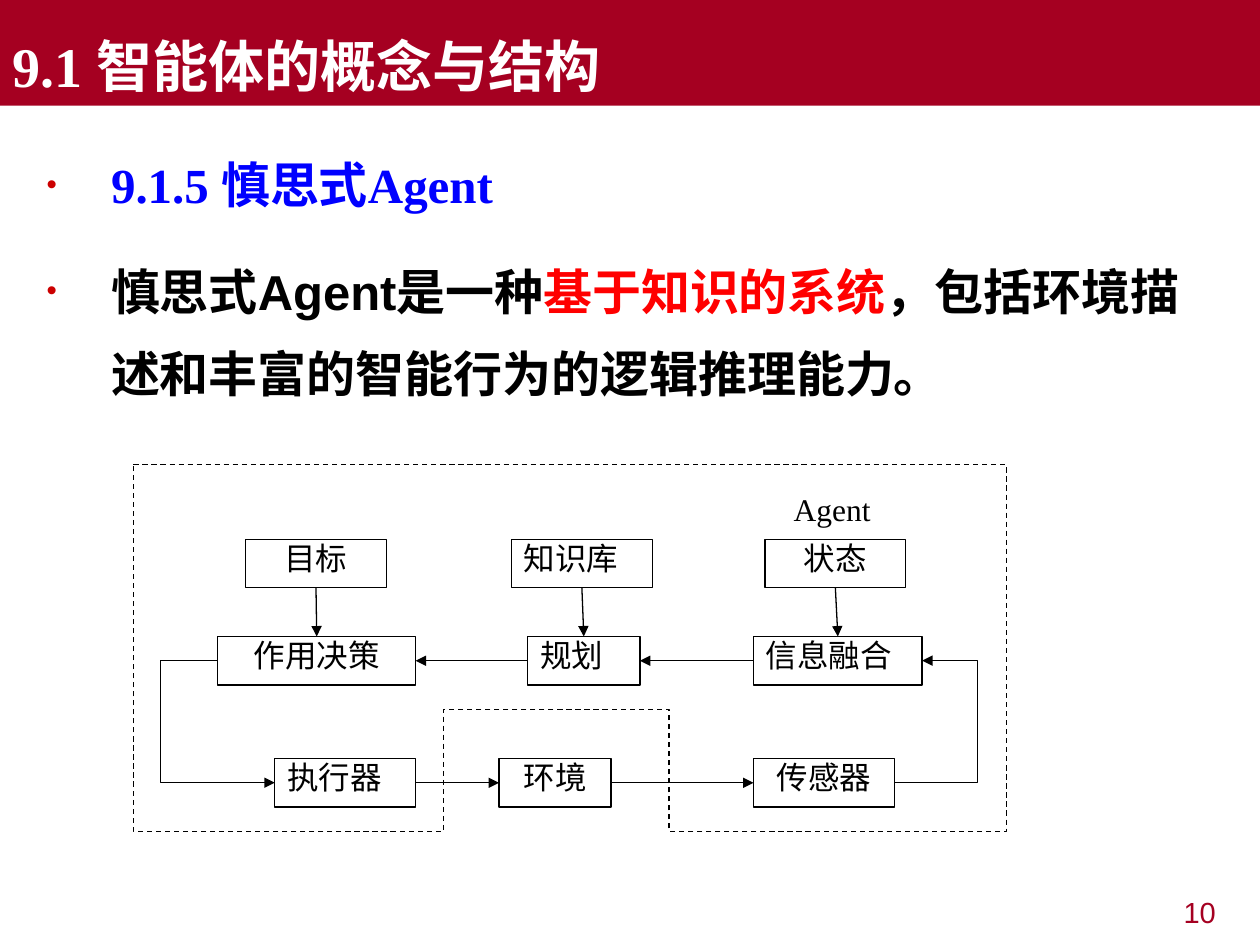
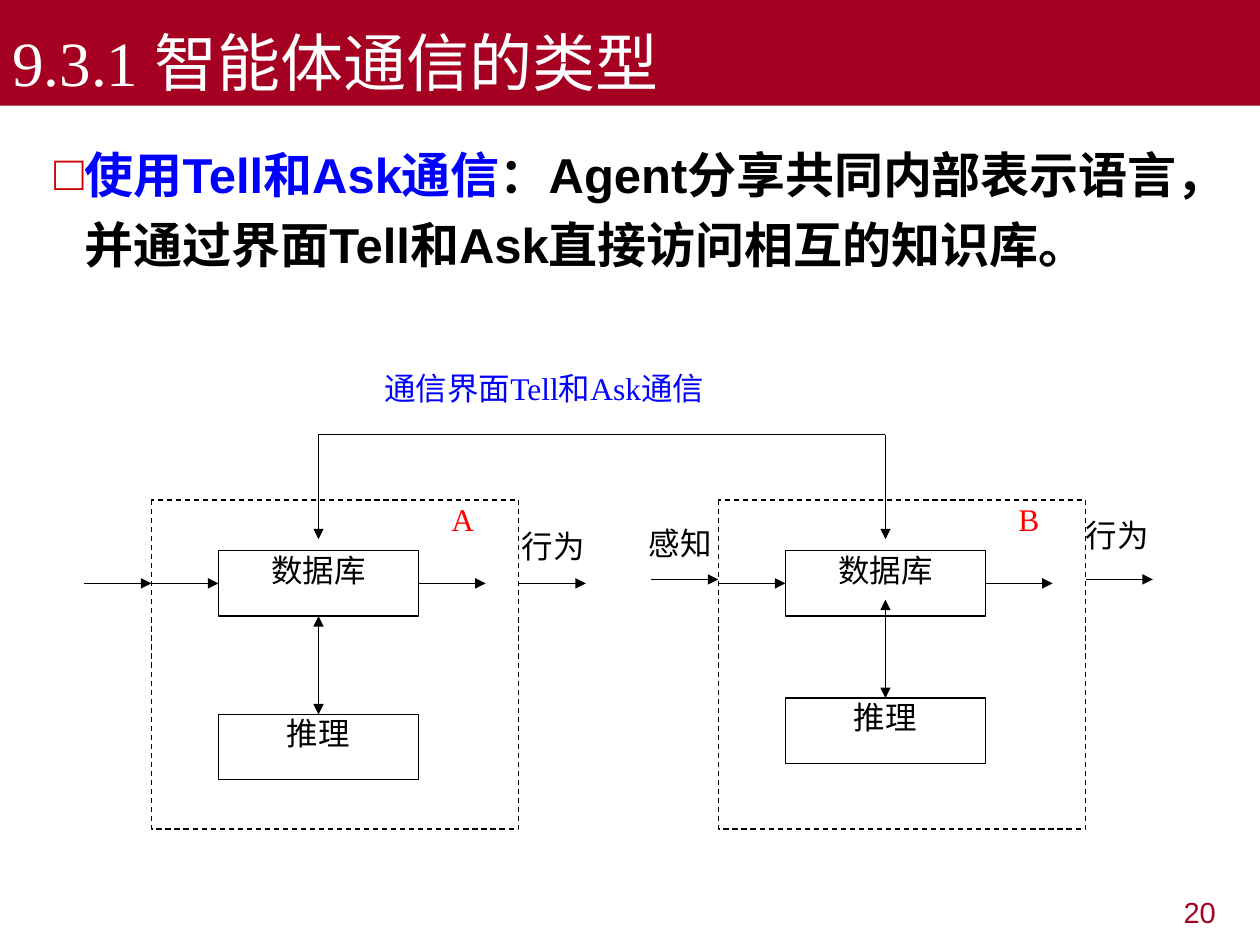
"""Build two slides on deliberative agents and on agent communication."""
from lxml.etree import SubElement
from pptx import Presentation
from pptx.dml.color import RGBColor
from pptx.enum.dml import MSO_LINE
from pptx.enum.shapes import MSO_CONNECTOR, MSO_SHAPE
from pptx.enum.text import MSO_ANCHOR, PP_ALIGN
from pptx.oxml.ns import qn
from pptx.util import Cm, Pt

CRIMSON = RGBColor(0xA5, 0x00, 0x21)
BULLET_RED = RGBColor(0xCC, 0x00, 0x00)
RED = RGBColor(0xFF, 0x00, 0x00)
BLUE = RGBColor(0x00, 0x00, 0xFF)
BLACK = RGBColor(0x00, 0x00, 0x00)
WHITE = RGBColor(0xFF, 0xFF, 0xFF)
SERIF, SANS = "Times New Roman", "Arial"
CENTER, JUSTIFY, RIGHT = PP_ALIGN.CENTER, PP_ALIGN.JUSTIFY, PP_ALIGN.RIGHT
TOP_SIDE, LEFT_SIDE, BOTTOM_SIDE, RIGHT_SIDE = range(4)
NO_INSETS, BOX_INSETS, TEXT_INSETS = (0, 0), (0.25, 0), (0.25, 0.13)

DELIBERATIVE = {
    "title": "9.1 智能体的概念与结构", "title_size": 32, "title_bold": True, "number": "10",
    "body_at": (0.69, 2.51, 24, 15.01),
    "body": [
        [("9.1.5 慎思式Agent", BLUE, SERIF)],
        [("慎思式Agent是一种", BLACK, SANS), ("基于知识的系统", RED, SANS),
         ("，包括环境描述和丰富的智能行为的逻辑推理能力。", BLACK, SANS)],
    ],
    "body_format": {"line_spacing": 1.4, "bullet": "•", "bullet_size": 60, "hanging": 1.3},
}
COMMUNICATION = {
    "title": "9.3.1 智能体通信的类型", "title_size": 36, "title_bold": False, "number": "20",
    "body_at": (0.84, 2.54, 23.5, 4.65),
    "body": [[("使用Tell和Ask通信", BLUE, SANS),
              ("：Agent分享共同内部表示语言，并通过界面Tell和Ask直接访问相互的知识库。", BLACK, SANS)]],
    "body_format": {"line_spacing": 1.2, "bullet": "□", "bullet_size": 100, "hanging": 0.62},
}

BOX_HEIGHT = 0.98
BOX_ROWS = [
    (10.87, [("目标", 4.95, 2.84, CENTER), ("知识库", 10.31, 2.84, JUSTIFY),
             ("状态", 15.42, 2.84, CENTER)]),
    (12.83, [("作用决策", 4.39, 3.99, CENTER), ("规划", 10.64, 2.26, JUSTIFY),
             ("信息融合", 15.19, 3.4, JUSTIFY)]),
    (15.29, [("执行器", 5.54, 2.84, JUSTIFY), ("环境", 10.06, 2.26, CENTER),
             ("传感器", 15.19, 2.84, CENTER)]),
]
STRAIGHT_LINKS = [
    ("目标", BOTTOM_SIDE, "作用决策", TOP_SIDE),
    ("知识库", BOTTOM_SIDE, "规划", TOP_SIDE),
    ("状态", BOTTOM_SIDE, "信息融合", TOP_SIDE),
    ("信息融合", LEFT_SIDE, "规划", RIGHT_SIDE),
    ("规划", LEFT_SIDE, "作用决策", RIGHT_SIDE),
    ("执行器", RIGHT_SIDE, "环境", LEFT_SIDE),
    ("环境", RIGHT_SIDE, "传感器", LEFT_SIDE),
]
ELBOW_LINKS = [((4.39, 13.32), (5.54, 15.78), -1), ((18.03, 15.78), (18.59, 13.32), 3)]
AGENT_OUTLINE = [(2.69, 9.37), (20.29, 9.37), (20.29, 16.76), (13.49, 16.76),
                 (13.49, 14.3), (8.94, 14.3), (8.94, 16.76), (2.69, 16.76)]

AGENTS = [
    {"name": "A", "left": 3.05, "reasoning_top": 14.4, "link_top": 12.42, "flow": 11.76},
    {"name": "B", "left": 14.48, "reasoning_top": 14.07, "link_top": 12.09, "flow": 11.68},
]
FRAME_TOP, FRAME_WIDTH, FRAME_HEIGHT = 10.08, 7.41, 6.63
STORE_TOP, STORE_WIDTH, STORE_HEIGHT = 11.1, 4.04, 1.32
ARROW = 1.35
CHANNEL_TOP, CHANNEL_BOTTOM = 8.76, 10.87
LABELS = [("行为", 10.52, 10.62), ("感知", 13.08, 10.57), ("行为", 21.89, 10.41)]


def write(shape, text, font=SERIF, size=18, color=BLACK, bold=False, align=None,
          insets=TEXT_INSETS, anchor=MSO_ANCHOR.TOP, line_spacing=None,
          bullet=None, bullet_size=100, hanging=0):
    frame = shape.text_frame
    frame.word_wrap = True
    frame.vertical_anchor = anchor
    frame.margin_left = frame.margin_right = Cm(insets[0])
    frame.margin_top = frame.margin_bottom = Cm(insets[1])
    paragraphs = [[(text, color, font)]] if isinstance(text, str) else text
    for index, spans in enumerate(paragraphs):
        para = frame.add_paragraph() if index else frame.paragraphs[0]
        if bullet:
            add_bullet(para, bullet, bullet_size, hanging)
        para.alignment = align
        para.line_spacing = line_spacing
        if index:
            para.space_before = Pt(14)
        for words, span_color, span_font in spans:
            span = para.add_run()
            span.text = words
            span.font.name, span.font.size, span.font.bold = span_font, Pt(size), bold
            span.font.color.rgb = span_color


def add_bullet(para, symbol, size, hanging):
    properties = para._p.get_or_add_pPr()
    properties.set("marL", str(Cm(hanging)))
    properties.set("indent", str(-Cm(hanging)))
    color = SubElement(properties, qn("a:buClr"))
    SubElement(color, qn("a:srgbClr"), val=str(BULLET_RED))
    SubElement(properties, qn("a:buSzPct"), val=str(size * 1000))
    SubElement(properties, qn("a:buFont"), typeface=SANS)
    SubElement(properties, qn("a:buChar"), char=symbol)


def add_text(page, text, left, top, width, height, **text_format):
    box = page.shapes.add_textbox(Cm(left), Cm(top), Cm(width), Cm(height))
    write(box, text, **text_format)


def add_box(page, text, left, top, width, height, align=CENTER):
    box = page.shapes.add_shape(MSO_SHAPE.FLOWCHART_PROCESS,
                                Cm(left), Cm(top), Cm(width), Cm(height))
    box.shadow.inherit = False
    box.fill.solid()
    box.fill.fore_color.rgb = WHITE
    box.line.color.rgb, box.line.width = BLACK, Pt(0.75)
    write(box, text, align=align, insets=BOX_INSETS)
    return box


def add_outline(page, points):
    corners = [(Cm(x), Cm(y)) for x, y in points]
    builder = page.shapes.build_freeform(*corners[0], scale=1.0)
    builder.add_line_segments(corners[1:], close=True)
    outline = builder.convert_to_shape()
    outline.shadow.inherit = False
    outline.fill.background()
    outline.line.color.rgb, outline.line.width = BLACK, Pt(0.75)
    outline.line.dash_style = MSO_LINE.DASH


def add_link(page, start=(0, 0), end=(0, 0), begin_at=None, end_at=None,
             heads=("tailEnd",), bend=None):
    kind = MSO_CONNECTOR.STRAIGHT if bend is None else MSO_CONNECTOR.ELBOW
    link = page.shapes.add_connector(kind, *(Cm(value) for value in (*start, *end)))
    if begin_at:
        link.begin_connect(*begin_at)
    if end_at:
        link.end_connect(*end_at)
    link.line.color.rgb, link.line.width = BLACK, Pt(0.75)
    properties = link._element.spPr
    for head in heads:
        SubElement(properties.find(qn("a:ln")), qn(f"a:{head}"), type="triangle")
    SubElement(properties, qn("a:effectLst"))
    if bend is not None:
        adjustments = properties.find(qn("a:prstGeom")).find(qn("a:avLst"))
        SubElement(adjustments, qn("a:gd"), name="adj1", fmla=f"val {bend * 100000}")


def add_page(deck, content):
    page = deck.slides.add_slide(deck.slide_layouts[6])
    add_text(page, content["number"], 19.25, 17.98, 5.51, 0.99,
             font=SANS, size=16.6, color=CRIMSON, align=RIGHT, line_spacing=0.9)
    band = page.shapes.add_shape(MSO_SHAPE.RECTANGLE, 0, 0, deck.slide_width, Cm(2.13))
    band.shadow.inherit = False
    band.fill.solid()
    band.fill.fore_color.rgb = CRIMSON
    band.line.fill.background()
    write(band, content["title"], size=content["title_size"], color=WHITE,
          bold=content["title_bold"], align=PP_ALIGN.LEFT, anchor=MSO_ANCHOR.BOTTOM)
    add_text(page, content["body"], *content["body_at"], size=28, bold=True,
             **content["body_format"])
    return page


def draw_deliberative_agent(page):
    boxes = {}
    for top, row in BOX_ROWS:
        for name, left, width, align in row:
            boxes[name] = add_box(page, name, left, top, width, BOX_HEIGHT, align)
    for source, source_side, target, target_side in STRAIGHT_LINKS:
        add_link(page, begin_at=(boxes[source], source_side),
                 end_at=(boxes[target], target_side))
    for start, end, bend in ELBOW_LINKS:
        add_link(page, start, end, bend=bend)
    add_text(page, "Agent", 15.75, 9.88, 2.84, 1.47, align=JUSTIFY, insets=BOX_INSETS)
    add_outline(page, AGENT_OUTLINE)


def draw_agent(page, agent):
    left, flow, link_top = agent["left"], agent["flow"], agent["link_top"]
    right, bottom = left + FRAME_WIDTH, FRAME_TOP + FRAME_HEIGHT
    store_left = left + ARROW
    store_right, middle = store_left + STORE_WIDTH, store_left + STORE_WIDTH / 2
    add_outline(page, [(left, FRAME_TOP), (left, bottom), (right, bottom), (right, FRAME_TOP)])
    store = add_box(page, "数据库", store_left, STORE_TOP, STORE_WIDTH, STORE_HEIGHT)
    reasoning = add_box(page, "推理", store_left, agent["reasoning_top"],
                        STORE_WIDTH, STORE_HEIGHT)
    touches_store = abs(link_top - STORE_TOP - STORE_HEIGHT) < 0.01
    add_link(page, (middle, link_top), begin_at=(store, BOTTOM_SIDE) if touches_store else None,
             end_at=(reasoning, TOP_SIDE), heads=("headEnd", "tailEnd"))
    add_link(page, (left - ARROW, flow), (left, flow))
    add_link(page, (left, STORE_TOP + STORE_HEIGHT / 2), end_at=(store, LEFT_SIDE))
    add_link(page, end=(store_right + ARROW, STORE_TOP + STORE_HEIGHT / 2),
             begin_at=(store, RIGHT_SIDE))
    add_link(page, (right, flow), (right + ARROW, flow))
    add_link(page, (middle, CHANNEL_TOP), (middle, CHANNEL_BOTTOM))
    add_text(page, agent["name"], left + 6.05, FRAME_TOP, 2.03, 1.32,
             color=RED, align=JUSTIFY, insets=NO_INSETS)
    return middle


def draw_communication(page):
    first, second = [draw_agent(page, agent) for agent in AGENTS]
    add_link(page, (first, CHANNEL_TOP), (second, CHANNEL_TOP), heads=())
    for text, left, top in LABELS:
        add_text(page, text, left, top, 2.03, 1.32, align=JUSTIFY, insets=NO_INSETS)
    add_text(page, "通信界面Tell和Ask通信", 7.75, 7.44, 7.41, 1.32,
             color=BLUE, align=JUSTIFY, insets=NO_INSETS)


def main():
    deck = Presentation()
    deck.slide_width, deck.slide_height = Cm(25.4), Cm(19.05)
    draw_deliberative_agent(add_page(deck, DELIBERATIVE))
    draw_communication(add_page(deck, COMMUNICATION))
    deck.save("out.pptx")


if __name__ == "__main__":
    main()
